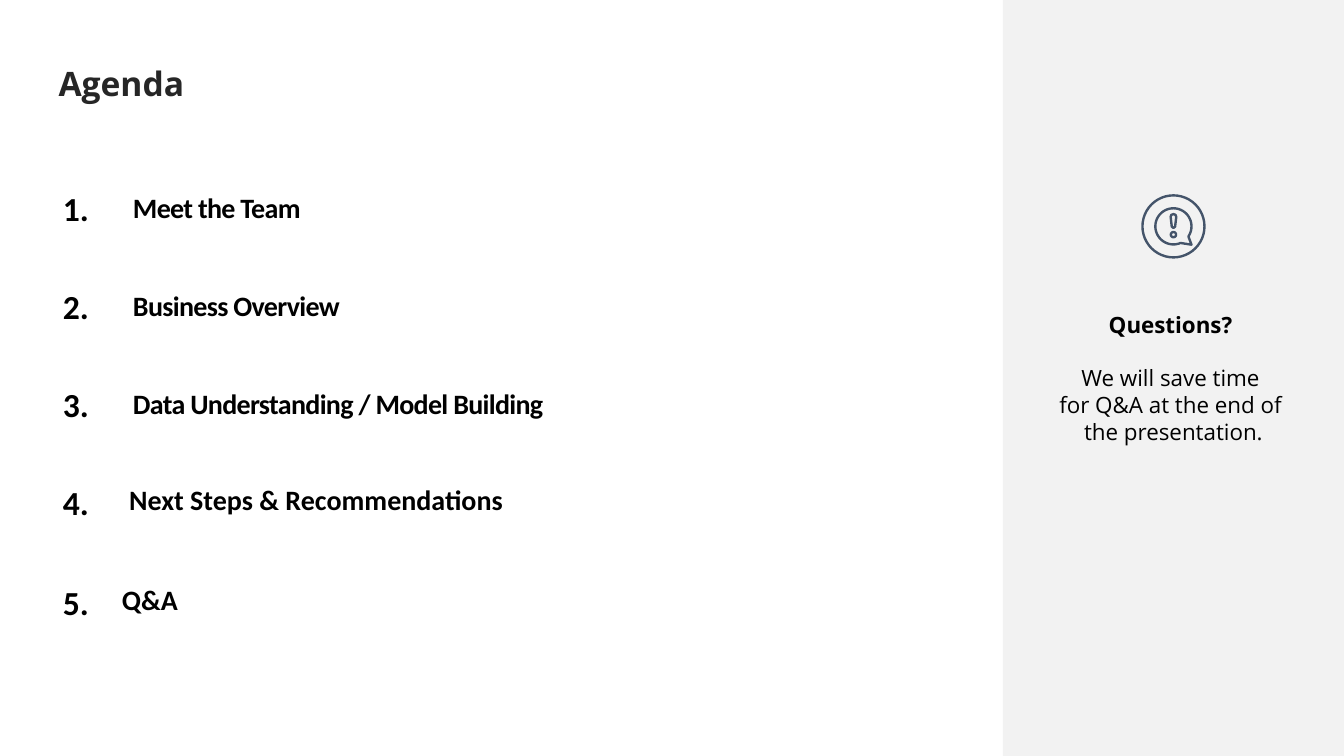
from math import cos, radians, sin

from pptx import Presentation
from pptx.dml.color import RGBColor
from pptx.enum.shapes import MSO_SHAPE
from pptx.enum.text import MSO_ANCHOR, MSO_AUTO_SIZE, PP_ALIGN
from pptx.util import Pt

BLACK = RGBColor(0x00, 0x00, 0x00)
CHARCOAL = RGBColor(0x26, 0x26, 0x26)
PANEL_GREY = RGBColor(0xF2, 0xF2, 0xF2)
SLATE = RGBColor(0x44, 0x54, 0x6A)
LEFT, RIGHT, CENTER = PP_ALIGN.LEFT, PP_ALIGN.RIGHT, PP_ALIGN.CENTER
TOP, MIDDLE = MSO_ANCHOR.TOP, MSO_ANCHOR.MIDDLE
NO_AUTOFIT = MSO_AUTO_SIZE.NONE
RECTANGLE, OVAL = MSO_SHAPE.RECTANGLE, MSO_SHAPE.OVAL
TITLE_ONLY = 5

AGENDA = [
    ("1.", 0, "Meet the Team", 46.1, 1.5, {"tracking": -50}),
    ("2.", 69.8, "Business Overview", 46.1, 1.7, {"tracking": -50}),
    ("3.", 139.7, "Data Understanding / Model Building", 46.1, 2.2, {"tracking": -50}),
    ("4.", 209.5, "Next Steps & Recommendations", 43.4, 0.4, {}),
    ("5.", 281.2, "Q&A", 38.2, 3.9, {"line_spacing": 0.85}),
]


def write_text(paragraph, text, size=20, font="Calibri", color=BLACK, bold=True,
               align=LEFT, line_spacing=None, space_before=0, tracking=None):
    paragraph.text = text
    paragraph.alignment = align
    paragraph.space_before = Pt(space_before)
    if line_spacing:
        paragraph.line_spacing = line_spacing
    for run in paragraph.runs:
        run.font.name = font
        run.font.size = Pt(size)
        run.font.bold = bold
        run.font.color.rgb = color
        if tracking:
            run.font._element.set("spc", str(tracking))


def add_label(slide, text, left, top, width, height, margin_left=7.2, **text_format):
    label = slide.shapes.add_textbox(Pt(left), Pt(top), Pt(width), Pt(height))
    label.text_frame.word_wrap = True
    label.text_frame.margin_left = Pt(margin_left)
    write_text(label.text_frame.paragraphs[0], text, **text_format)


def add_title(slide, left, top, width, height):
    title = slide.shapes.title
    title.left, title.top, title.width, title.height = Pt(left), Pt(top), Pt(width), Pt(height)
    frame = title.text_frame
    frame.margin_left = frame.margin_top = frame.margin_right = frame.margin_bottom = 0
    frame.vertical_anchor = TOP
    frame.auto_size = NO_AUTOFIT
    write_text(frame.paragraphs[0], "Agenda", size=24, font="Open Sans",
               color=CHARCOAL, line_spacing=0.9)


def add_agenda(slide, left, top, width):
    for number, row_top, topic, indent, drop, text_format in AGENDA:
        row = top + row_top
        add_label(slide, number, left, row, 28.8, 36, margin_left=0, size=24, align=RIGHT)
        add_label(slide, topic, left + indent, row + drop, width - indent, 36, **text_format)


def style_outline(shape):
    shape.shadow.inherit = False
    shape.fill.background()
    shape.line.color.rgb = SLATE
    shape.line.width = Pt(1.7)


def add_ring(slide, center_x, center_y, radius):
    ring = slide.shapes.add_shape(OVAL, Pt(center_x - radius), Pt(center_y - radius),
                                  Pt(2 * radius), Pt(2 * radius))
    style_outline(ring)


def add_outline(slide, center_x, center_y, offsets):
    points = [(Pt(center_x + x), Pt(center_y + y)) for x, y in offsets]
    builder = slide.shapes.build_freeform(*points[0])
    builder.add_line_segments(points[1:], close=True)
    style_outline(builder.convert_to_shape())


def add_question_icon(slide, left, top, size):
    center_x, center_y = left + size / 2, top + size / 2
    bubble_radius = 12.9
    arc = [(bubble_radius * cos(radians(angle)), bubble_radius * sin(radians(angle)))
           for angle in range(67, 397, 3)]
    mark = [(-2, -6.8), (-1.5, -8.2), (0, -8.8), (1.5, -8.2), (2, -6.8),
            (1.2, 0.2), (0, 1.1), (-1.2, 0.2)]
    add_ring(slide, center_x, center_y, size / 2 - 0.85)
    add_outline(slide, center_x, center_y, arc + [(12.9, 13.1)])
    add_outline(slide, center_x, center_y, mark)
    add_ring(slide, center_x, center_y + 5.9, 1.9)


def add_questions_panel(slide, left, top, width, height):
    panel = slide.shapes.add_shape(RECTANGLE, Pt(left), Pt(top), Pt(width), Pt(height))
    panel.shadow.inherit = False
    panel.fill.solid()
    panel.fill.fore_color.rgb = PANEL_GREY
    panel.line.fill.background()
    frame = panel.text_frame
    frame.word_wrap = True
    frame.vertical_anchor = MIDDLE
    write_text(frame.paragraphs[0], "Questions? ", size=16, font="Open Sans", align=CENTER)
    write_text(frame.add_paragraph(),
               "We will save time \vfor Q&A at the end of \vthe presentation.",
               size=16, font="Open Sans", bold=False, align=CENTER, space_before=19.2)
    icon_size = 46
    add_question_icon(slide, left + (width - icon_size) / 2, top + 138.7, icon_size)


def main():
    presentation = Presentation()
    presentation.slide_width, presentation.slide_height = Pt(960), Pt(540)
    slide = presentation.slides.add_slide(presentation.slide_layouts[TITLE_ONLY])
    add_title(slide, 41.8, 48.2, 897, 28.8)
    add_agenda(slide, 41.8, 131, 530)
    add_questions_panel(slide, 716.4, 0, 243.6, 540)
    presentation.save("out.pptx")


if __name__ == "__main__":
    main()
